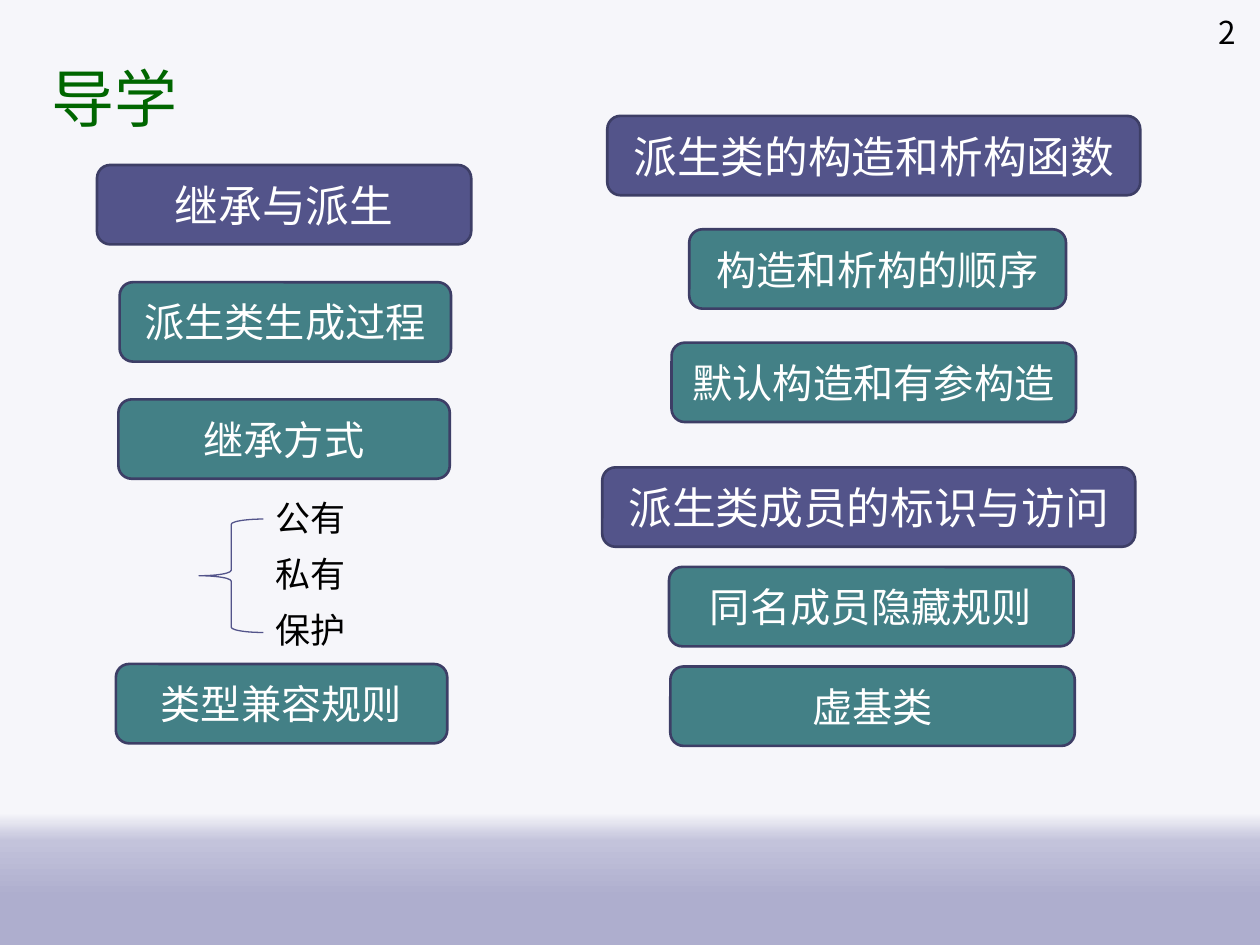
from lxml import etree
from pptx import Presentation
from pptx.dml.color import RGBColor
from pptx.enum import shapes, text
from pptx.oxml import ns
from pptx.util import Inches, Pt

# Content: (label, left, top, width)
TOPICS = [
    ("继承与派生", 0.77, 1.31, 2.97),
    ("派生类的构造和析构函数", 4.82, 0.92, 4.23),
    ("派生类成员的标识与访问", 4.78, 3.71, 4.23),
]
SUBTOPICS = [
    ("派生类生成过程", 0.95, 2.24, 2.63),
    ("继承方式", 0.94, 3.17, 2.63),
    ("类型兼容规则", 0.92, 5.27, 2.63),
    ("构造和析构的顺序", 5.47, 1.82, 2.99),
    ("默认构造和有参构造", 5.33, 2.72, 3.21),
    ("同名成员隐藏规则", 5.31, 4.5, 3.21),
    ("虚基类", 5.32, 5.29, 3.21),
]
INHERITANCE_MODES = ["公有", "私有", "保护"]
BACKDROP = [(86, "F6F6FA"), (89, "C3C3DB"), (95, "AEAECE"), (100, "AEAECE")]

INDIGO, TEAL, OUTLINE = "53548A", "438086", "3D3E66"
BOX_HEIGHT = 0.63
MODE_TOP, MODE_STEP = 3.89, 0.445


def color(hex_code):
    return RGBColor.from_string(hex_code)


def write(shape, words, size, font, hex_code, align=text.PP_ALIGN.LEFT,
          anchor=text.MSO_ANCHOR.MIDDLE):
    frame = shape.text_frame
    frame.text = words
    frame.word_wrap = True
    frame.vertical_anchor = anchor
    paragraph = frame.paragraphs[0]
    paragraph.alignment = align
    style = paragraph.runs[0].font
    style.size, style.name = Pt(size), font
    style.color.rgb = color(hex_code)
    return frame


def add_label(slide, box, *args, **kwargs):
    return write(slide.shapes.add_textbox(*map(Inches, box)), *args, **kwargs)


def add_outlined(slide, preset, box, line, width):
    shape = slide.shapes.add_shape(preset, *map(Inches, box))
    shape.shadow.inherit = False
    shape.line.color.rgb = color(line)
    shape.line.width = Pt(width)
    return shape


def add_boxes(slide, entries, fill, size):
    for label, left, top, width in entries:
        box = add_outlined(slide, shapes.MSO_SHAPE.ROUNDED_RECTANGLE,
                           (left, top, width, BOX_HEIGHT), OUTLINE, 1.5)
        box.fill.solid()
        box.fill.fore_color.rgb = color(fill)
        write(box, label, size, "Cabin", "FFFFFF", text.PP_ALIGN.CENTER)


def paint_background(slide):
    fill = slide.background.fill
    fill.gradient()
    fill.gradient_angle = 270
    stops = slide.element.find(".//" + ns.qn("a:gsLst"))
    for stop in list(stops):
        stops.remove(stop)
    for percent, hex_code in BACKDROP:
        stop = etree.SubElement(stops, ns.qn("a:gs"), pos=str(percent * 1000))
        etree.SubElement(stop, ns.qn("a:srgbClr"), val=hex_code)


def main():
    deck = Presentation()
    deck.slide_width, deck.slide_height = Inches(10), Inches(7.5)
    slide = deck.slides.add_slide(deck.slide_layouts[6])
    paint_background(slide)

    # Title and page number
    title = add_label(slide, (0.28, 0.19, 9, 1.17), "导学", 36, "Cabin", "006600")
    title.margin_left = title.margin_right = Inches(0.13)
    title.margin_top = title.margin_bottom = Inches(0.07)
    add_label(slide, (7.66, 0.05, 2.25, 0.4), "2", 18, "Noto Sans CJK SC",
              "000000", text.PP_ALIGN.RIGHT)

    # Topic boxes
    add_boxes(slide, TOPICS, INDIGO, 25)
    add_boxes(slide, SUBTOPICS, TEAL, 23)

    # Inheritance modes behind a brace
    brace = add_outlined(slide, shapes.MSO_SHAPE.LEFT_BRACE,
                         (1.58, 4.12, 0.51, 0.9), INDIGO, 0.75)
    brace.fill.background()
    for row, mode in enumerate(INHERITANCE_MODES):
        add_label(slide, (2.09, MODE_TOP + row * MODE_STEP, 1.65, 0.44), mode, 20,
                  "Times New Roman", "000000", anchor=text.MSO_ANCHOR.TOP)

    deck.save("out.pptx")


if __name__ == "__main__":
    main()
